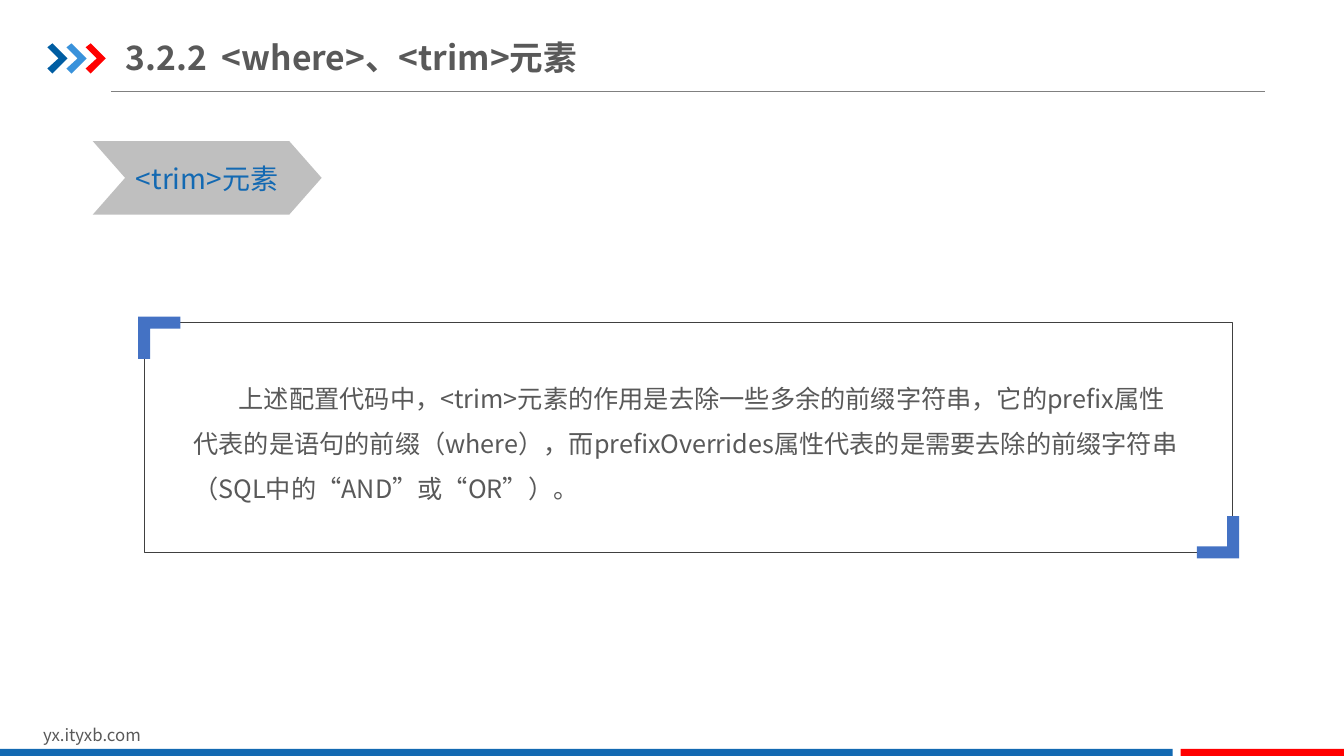
from pptx import Presentation
from pptx.dml.color import RGBColor
from pptx.enum.shapes import MSO_CONNECTOR as CONN, MSO_SHAPE as SHAPE
from pptx.enum.text import MSO_ANCHOR as ANCHOR, MSO_AUTO_SIZE as AUTO
from pptx.oxml.ns import qn
from pptx.util import Pt
from lxml import etree

PX = 9144
FONT = "Noto Sans CJK SC"
COLORS = {
    "text": "595959", "blue": "1369B2", "navy": "005DA2", "sky": "3992DB",
    "red": "FF0000", "rule": "808080", "frame": "404040",
    "corner": "4472C4", "tag": "BFBFBF",
}


def color(name):
    return RGBColor.from_string(COLORS[name])


def paint(sp, fill=None, line=None, width=0.25):
    sp.shadow.inherit = False
    if fill:
        sp.fill.solid()
        sp.fill.fore_color.rgb = color(fill)
    else:
        sp.fill.background()
    if line:
        sp.line.color.rgb = color(line)
        sp.line.width = Pt(width)
    else:
        sp.line.fill.background()


def add_block(s, kind, x, y, w, h, fill=None, line=None):
    sp = s.shapes.add_shape(kind, x * PX, y * PX, w * PX, h * PX)
    paint(sp, fill, line)
    return sp


def add_outline(s, points, fill):
    builder = s.shapes.build_freeform(*points[0], scale=PX)
    builder.add_line_segments(points[1:], close=True)
    paint(builder.convert_to_shape(), fill)


def add_arrow(s, x, y, fill):
    shape = [(0, 4), (5, 0), (20, 15), (5, 30), (0, 25), (11, 15)]
    add_outline(s, [(x + dx, y + dy) for dx, dy in shape], fill)


def add_corner(s, x, y, sign):
    shape = [(0, 0), (42, 0), (42, 12), (12, 12), (12, 42), (0, 42)]
    add_outline(s, [(x + sign * dx, y + sign * dy) for dx, dy in shape], "corner")


def add_rule(s, x1, x2, y):
    c = s.shapes.add_connector(CONN.STRAIGHT, x1 * PX, y * PX, x2 * PX, y * PX)
    c.line.color.rgb = color("rule")
    c.line.width = Pt(0.5)
    etree.SubElement(c._element.spPr, qn("a:effectLst"))


def add_text(s, x, y, w, h, text, size, fill="text", bold=False, wrap=True,
             indent=0, tab=0, spacing=None):
    tf = s.shapes.add_textbox(x * PX, y * PX, w * PX, h * PX).text_frame
    tf.word_wrap = wrap
    tf.auto_size = AUTO.SHAPE_TO_FIT_TEXT
    tf.text = text
    p = tf.paragraphs[0]
    pPr = p._p.get_or_add_pPr()
    if indent:
        pPr.set("indent", str(indent * PX))
    if tab:
        tabs = etree.SubElement(pPr, qn("a:tabLst"))
        etree.SubElement(tabs, qn("a:tab"), pos=str(tab * PX), algn="l")
    if spacing:
        p.line_spacing = spacing
    for r in p.runs:
        r.font.size = Pt(size)
        r.font.bold = bold
        r.font.color.rgb = color(fill)
        r.font.name = FONT
        etree.SubElement(r._r.get_or_add_rPr(), qn("a:ea"), typeface=FONT)
    return tf


def add_header(s):
    add_rule(s, 110, 1255, 91)
    for i, fill in enumerate(("navy", "sky", "red")):
        add_arrow(s, 47 + 19 * i, 43, fill)
    tf = add_text(s, 125, 29, 504, 55, "3.2.2\t<where>、<trim>元素", 24,
                  bold=True, tab=95)
    tf.auto_size = AUTO.NONE
    tf.vertical_anchor = ANCHOR.MIDDLE
    tf.margin_left = tf.margin_right = 0
    tf.margin_top = tf.margin_bottom = 7 * PX


def add_footer(s):
    add_text(s, 33, 714, 318, 30, "yx.ityxb.com", 12)
    add_block(s, SHAPE.RECTANGLE, 0, 743, 1163, 9, "blue")
    add_block(s, SHAPE.RECTANGLE, 1171, 743, 163, 9, "red")


def add_tag(s):
    chevron = add_block(s, SHAPE.CHEVRON, 92, 140, 227, 73, "tag")
    chevron.adjustments[0] = 0.44
    add_text(s, 125, 155, 181, 44, "<trim>元素", 20, "blue", wrap=False)


def add_explanation(s):
    add_text(s, 182, 360, 997, 142,
             "上述配置代码中，<trim>元素的作用是去除一些多余的前缀字符串，"
             "它的prefix属性代表的是语句的前缀（where），而prefixOverrides属性"
             "代表的是需要去除的前缀字符串（SQL中的“AND”或“OR”）。",
             18, indent=45, spacing=1.5)
    add_block(s, SHAPE.RECTANGLE, 143, 320, 1079, 228, line="frame")
    add_corner(s, 137, 314, 1)
    add_corner(s, 1229, 554, -1)


def main():
    prs = Presentation()
    prs.slide_width = 1333 * PX
    prs.slide_height = 750 * PX
    s = prs.slides.add_slide(prs.slide_layouts[6])
    add_header(s)
    add_footer(s)
    add_explanation(s)
    add_tag(s)
    prs.save("out.pptx")


if __name__ == "__main__":
    main()
